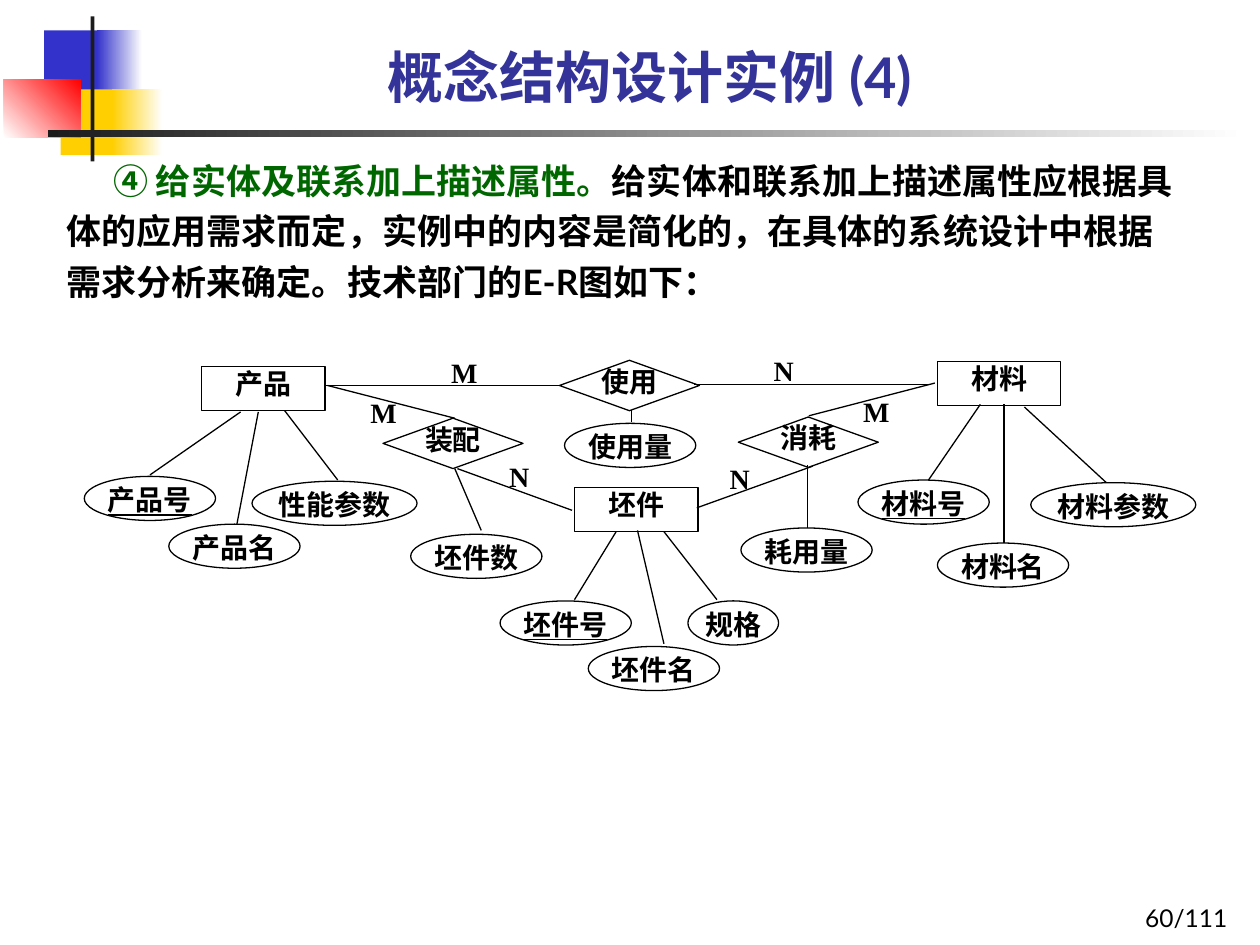
from lxml import etree
from pptx import Presentation
from pptx import util as u
from pptx.dml.color import RGBColor
from pptx.enum import shapes, text
from pptx.oxml.ns import qn

BLACK, WHITE, NAVY, GREEN = "000000", "FFFFFF", "333399", "006600"
BLUE, YELLOW, RED, DARK = "3333CC", "FFCF01", "FF0000", "1C1C1C"
LATO, TIMES = "Lato", "Times New Roman"
SHAPE = shapes.MSO_SHAPE
ALIGN, ANCHOR = text.PP_ALIGN, text.MSO_ANCHOR

ENTITY_SIZE = (70.5, 25.2)
RELATION_SIZE = (80, 28.8)
ATTRIBUTE_HEIGHT = 25.2
ATTRIBUTE_WIDTHS = {2: 51.8, 3: 75, 4: 94.3}  # by number of characters

ENTITIES = [("产品", 115.2, 209.5), ("材料", 535.7, 206.6), ("坯件", 328.3, 278.6)]
RELATIONS = [("使用", 319.7, 205.9), ("装配", 218.9, 239), ("消耗", 421.9, 238.3)]
KEYS = {"产品号", "材料号", "坯件号"}
ATTRIBUTES = [
    ("产品号", 48.2, 272.2), ("产品名", 96.5, 299.5), ("性能参数", 144, 275),
    ("材料号", 490.3, 274.3), ("材料名", 535.7, 310.3), ("材料参数", 589, 275.8),
    ("坯件号", 285.8, 343.4), ("坯件名", 336.2, 369.4), ("规格", 393.1, 343.4),
    ("使用量", 322.6, 241.9), ("坯件数", 234.7, 305.3), ("耗用量", 423.4, 301.7),
]
RELATION_LINES = [
    (186.5, 220.3, 321.1, 220.3), (396.7, 219.6, 531.4, 219.6),
    (187.2, 220.3, 259.9, 239), (261.4, 267.8, 326.9, 291.6),
    (534.2, 218.9, 462.2, 237.6), (464.4, 266.4, 398.2, 290.2),
]
ATTRIBUTE_LINES = [
    (137.5, 235.4, 85.7, 271.4), (147.6, 235.4, 135.4, 299.5), (162.7, 234.7, 193, 274.3),
    (560.2, 231.1, 530.6, 274.3), (573.8, 231.1, 573.8, 310.3), (585.4, 232.6, 632.2, 275.8),
    (352.1, 303.8, 328.3, 342.7), (364.3, 303.1, 379.4, 367.9), (379.4, 303.8, 409.7, 342.7),
    (360.7, 234, 360.7, 241.2), (259.9, 267.8, 275, 303.1), (461.5, 265.7, 461.5, 301.7),
]
CARDINALITIES = [
    ("M", 257.8, 203), ("N", 442.1, 202.3), ("M", 211.7, 226.1),
    ("N", 290.9, 262.8), ("M", 493.2, 225.4), ("N", 416.9, 263.5),
]
# left, top, width, height, colours, gradient angle
ORNAMENT = [
    (25.2, 17.3, 34.6, 37.4, [BLUE], 0), (55.4, 17.3, 25.9, 37.4, [BLUE, WHITE], 0),
    (34.6, 51.1, 33.1, 37.4, [YELLOW], 0), (64.1, 51.1, 28.8, 37.4, [YELLOW, WHITE], 0),
    (2.2, 45.4, 43.9, 33.1, [WHITE, RED], 45),
    (51.8, 9.4, 2.2, 82.8, [DARK], 0), (27.4, 74.2, 684.7, 4.3, [DARK, WHITE], 0),
]


def rgb(hex_colour):
    return RGBColor.from_string(hex_colour)


def pts(*lengths):
    return [u.Pt(n) for n in lengths]


class SlideBuilder:
    line_width = 0.75
    label_size = 16

    def __init__(self, slide):
        self.s = slide

    def add_text(self, sp, runs, font, size, align, anchor=ANCHOR.TOP, bold=True, inset=None, spacing=None):
        """Fill a shape with one paragraph of (text, colour) runs and return it."""
        tf = sp.text_frame
        tf.word_wrap = True
        tf.auto_size = text.MSO_AUTO_SIZE.NONE
        tf.vertical_anchor = anchor
        if inset is not None:
            tf.margin_left = tf.margin_top = tf.margin_right = tf.margin_bottom = u.Pt(inset)
        p = tf.paragraphs[0]
        p.alignment = align
        if spacing:
            p.line_spacing = spacing
        for content, colour in runs:
            r = p.add_run()
            r.text = content
            r.font.name, r.font.size, r.font.bold = font, u.Pt(size), bold
            r.font.color.rgb = rgb(colour)
        return p

    def title(self, content, box):
        sp = self.s.shapes.title
        sp.left, sp.top, sp.width, sp.height = pts(*box)
        self.add_text(sp, [(content, NAVY)], LATO, 32, ALIGN.CENTER, ANCHOR.BOTTOM)

    def textbox(self, runs, box, font, size, align, **style):
        sp = self.s.shapes.add_textbox(*pts(*box))
        return self.add_text(sp, runs, font, size, align, **style)

    def block(self, left, top, width, height, colours, angle):
        sp = self.s.shapes.add_shape(SHAPE.RECTANGLE, *pts(left, top, width, height))
        sp.shadow.inherit = False
        sp.line.fill.background()
        if len(colours) == 1:
            sp.fill.solid()
            sp.fill.fore_color.rgb = rgb(colours[0])
            return
        sp.fill.gradient()
        sp.fill.gradient_angle = angle
        for stop, colour in zip(sp.fill.gradient_stops, colours):
            stop.color.rgb = rgb(colour)

    def node(self, kind, content, box, filled=True, underline=False, spacing=None):
        sp = self.s.shapes.add_shape(kind, *pts(*box))
        sp.shadow.inherit = False
        if filled:
            sp.fill.solid()
            sp.fill.fore_color.rgb = rgb(WHITE)
        else:
            sp.fill.background()
        sp.line.color.rgb = rgb(BLACK)
        sp.line.width = u.Pt(self.line_width)
        p = self.add_text(sp, [(content, BLACK)], TIMES, self.label_size, ALIGN.CENTER,
                          inset=0, spacing=spacing)
        if underline:
            p.runs[0].font.underline = True

    def line(self, *ends):
        cx = self.s.shapes.add_connector(shapes.MSO_CONNECTOR.STRAIGHT, *pts(*ends))
        cx.line.color.rgb = rgb(BLACK)
        cx.line.width = u.Pt(self.line_width)
        etree.SubElement(cx._element.spPr, qn("a:effectLst"))


def main():
    prs = Presentation()
    prs.slide_width, prs.slide_height = pts(720, 540)
    b = SlideBuilder(prs.slides.add_slide(prs.slide_layouts[5]))

    for block in ORNAMENT:
        b.block(*block)
    b.title("概念结构设计实例 (4)", (64.8, 3.6, 613.4, 62.6))
    p = b.textbox(
        [("④ 给实体及联系加上描述属性。", GREEN),
         ("给实体和联系加上描述属性应根据具体的应用需求而定，实例中的内容是简化的，"
          "在具体的系统设计中根据需求分析来确定。技术部门的E-R图如下：", BLACK)],
        (31, 82.8, 652.3, 118.8), LATO, 20, ALIGN.LEFT, spacing=1.2)
    p._p.get_or_add_pPr().set("indent", str(u.Pt(26.5)))

    for name, left, top in ENTITIES:
        b.node(SHAPE.RECTANGLE, name, (left, top, *ENTITY_SIZE))
    for name, left, top in RELATIONS:
        b.node(SHAPE.DIAMOND, name, (left, top, *RELATION_SIZE), spacing=0.72)
    for name, left, top in ATTRIBUTES:
        b.node(SHAPE.OVAL, name, (left, top, ATTRIBUTE_WIDTHS[len(name)], ATTRIBUTE_HEIGHT),
               filled=False, underline=name in KEYS)
    for ends in RELATION_LINES + ATTRIBUTE_LINES:
        b.line(*ends)
    for mark, left, top in CARDINALITIES:
        b.textbox([(mark, BLACK)], (left, top, 30, 19.4), TIMES, b.label_size,
                  ALIGN.JUSTIFY, inset=0)
    b.textbox([("60/111", BLACK)], (558.7, 500.4, 149.8, 36), LATO, 14, ALIGN.RIGHT,
              anchor=ANCHOR.BOTTOM, bold=False)
    prs.save("out.pptx")


if __name__ == "__main__":
    main()
